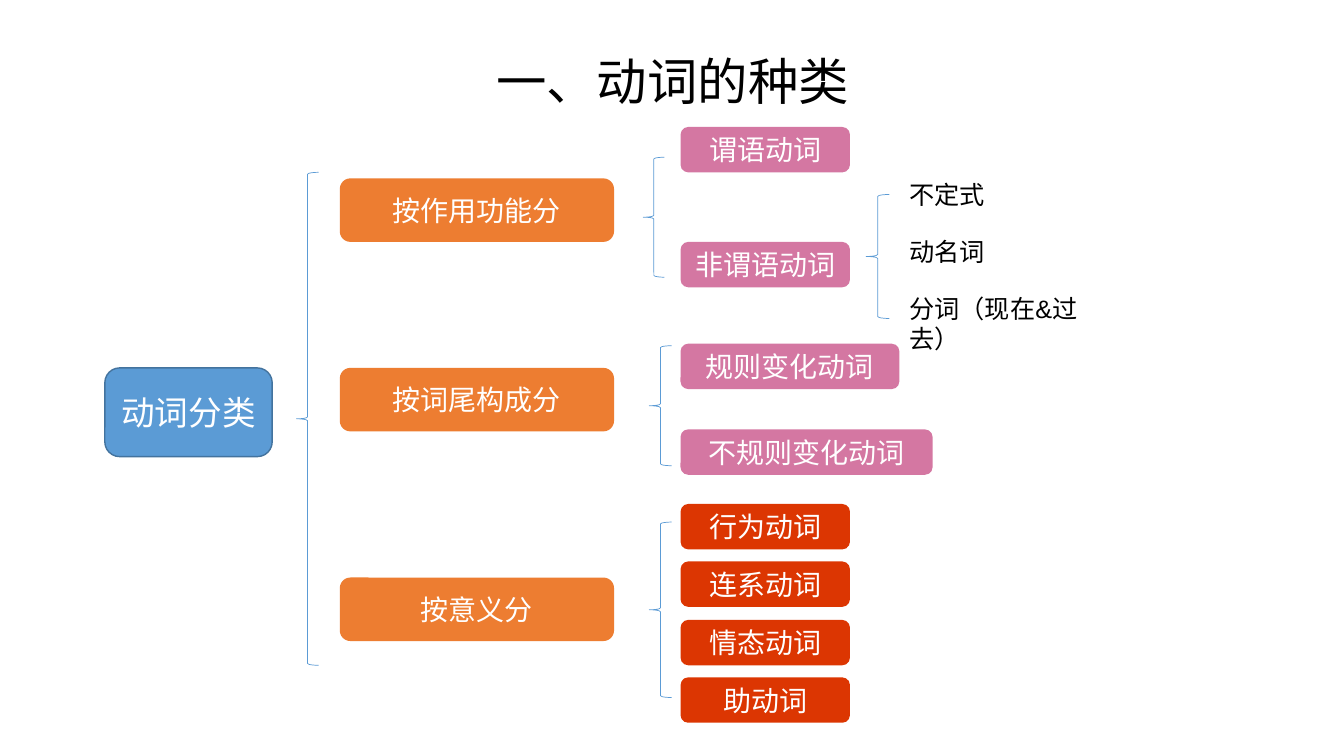
from dataclasses import dataclass

from pptx import Presentation
from pptx.dml.color import RGBColor
from pptx.enum.shapes import MSO_SHAPE
from pptx.enum.text import MSO_ANCHOR, MSO_AUTO_SIZE, PP_ALIGN
from pptx.slide import Slide
from pptx.text.text import TextFrame
from pptx.util import Emu, Pt

PX = 9144  # 100 px to the inch
FONT = "Arial"
BLUE, NAVY, ORANGE = "5B9BD5", "43739E", "ED7D31"
PINK, RED, WHITE, BLACK = "D477A2", "DC3602", "FFFFFF", "000000"


@dataclass
class Node:
    text: str
    x: int
    y: int
    w: int
    h: int
    fill: str
    size: int = 20
    line: str = ""


@dataclass
class Brace:
    x: int
    y: int
    w: int
    h: int


@dataclass
class Label:
    text: str
    y: int
    w: int


def px(n: int) -> Emu:
    return Emu(n * PX)


def rgb(color: str) -> RGBColor:
    return RGBColor.from_string(color)


def write(tf: TextFrame, text: str, size: int, color: str, align: PP_ALIGN) -> None:
    tf.word_wrap = True
    p = tf.paragraphs[0]
    p.alignment = align
    r = p.add_run()
    r.text = text
    r.font.name = FONT
    r.font.size = Pt(size)
    r.font.color.rgb = rgb(color)


def draw_node(s: Slide, n: Node) -> None:
    sp = s.shapes.add_shape(MSO_SHAPE.ROUNDED_RECTANGLE, px(n.x), px(n.y), px(n.w), px(n.h))
    sp.shadow.inherit = False
    sp.fill.solid()
    sp.fill.fore_color.rgb = rgb(n.fill)
    if n.line:
        sp.line.color.rgb = rgb(n.line)
        sp.line.width = Pt(1)
    else:
        sp.line.fill.background()
    sp.text_frame.vertical_anchor = MSO_ANCHOR.MIDDLE
    write(sp.text_frame, n.text, n.size, WHITE, PP_ALIGN.CENTER)


def draw_brace(s: Slide, b: Brace) -> None:
    sp = s.shapes.add_shape(MSO_SHAPE.LEFT_BRACE, px(b.x), px(b.y), px(b.w), px(b.h))
    sp.shadow.inherit = False
    sp.fill.background()
    sp.line.color.rgb = rgb(BLUE)
    sp.line.width = Pt(0.5)


def draw_label(s: Slide, t: Label) -> None:
    sp = s.shapes.add_textbox(px(892), px(t.y), px(t.w), px(40))
    tf = sp.text_frame
    write(tf, t.text, 18, BLACK, PP_ALIGN.LEFT)
    tf.auto_size = MSO_AUTO_SIZE.SHAPE_TO_FIT_TEXT


def draw_title(s: Slide, text: str) -> None:
    sp = s.shapes.title
    sp.left, sp.top, sp.width, sp.height = px(92), px(11), px(1150), px(145)
    tf = sp.text_frame
    tf.vertical_anchor = MSO_ANCHOR.MIDDLE
    write(tf, text, 36, BLACK, PP_ALIGN.CENTER)
    tf.paragraphs[0].line_spacing = 0.9


# Root, its three criteria, and the verb kinds under each
ROOT = Node("动词分类", 104, 365, 166, 88, BLUE, 24, NAVY)
CRITERIA = [
    Node(text, 337, y, 272, 63, ORANGE)
    for text, y in [("按作用功能分", 177), ("按词尾构成分", 365), ("按意义分", 573)]
]
KINDS = [
    Node(text, 675, y, w, 45, PINK)
    for text, y, w in [
        ("谓语动词", 126, 168),
        ("非谓语动词", 240, 168),
        ("规则变化动词", 341, 217),
        ("不规则变化动词", 426, 250),
    ]
]
MEANINGS = [
    Node(text, 675, 500 + round(57.4 * i), 168, 45, RED)
    for i, text in enumerate(["行为动词", "连系动词", "情态动词", "助动词"])
]
BRACES = [
    Brace(294, 171, 22, 489),
    Brace(638, 156, 21, 119),
    Brace(859, 193, 23, 123),
    Brace(644, 343, 22, 119),
    Brace(644, 518, 22, 174),
]
LABELS = [
    Label("不定式", 173, 134),
    Label("动名词", 230, 134),
    Label("分词（现在&过去）", 286, 229),
]


def main() -> None:
    prs = Presentation()
    prs.slide_width, prs.slide_height = px(1333), px(750)
    s = prs.slides.add_slide(prs.slide_layouts[5])
    draw_title(s, "一、动词的种类")
    # Braces and labels lie behind the boxes
    for b in BRACES:
        draw_brace(s, b)
    for t in LABELS:
        draw_label(s, t)
    for n in [ROOT, *CRITERIA, *KINDS, *MEANINGS]:
        draw_node(s, n)
    prs.save("out.pptx")


if __name__ == "__main__":
    main()
